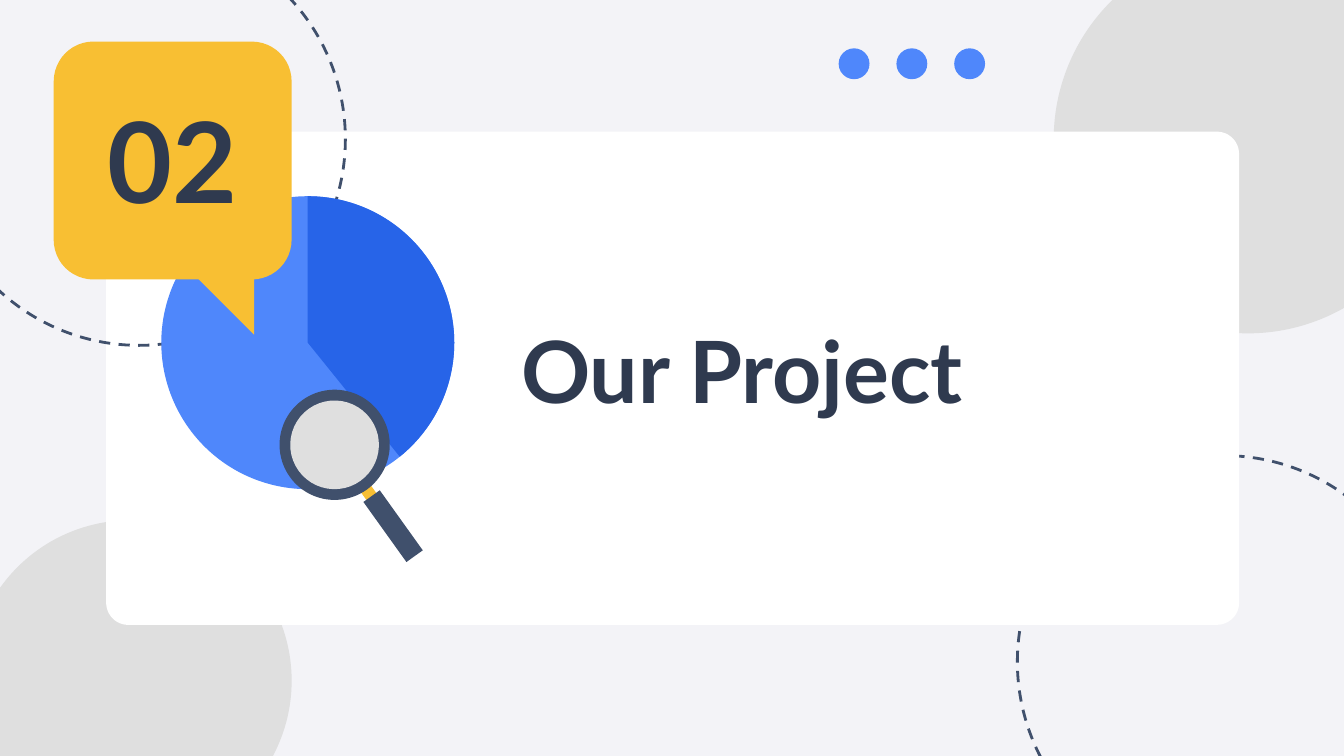
from pptx import Presentation
from pptx.dml.color import RGBColor
from pptx.enum import dml, shapes, text
from pptx.util import Inches, Pt

PALE = RGBColor(0xF3, 0xF3, 0xF7)
GREY = RGBColor(0xDF, 0xDF, 0xDF)
WHITE = RGBColor(0xFF, 0xFF, 0xFF)
SLATE = RGBColor(0x40, 0x50, 0x6C)
INK = RGBColor(0x2F, 0x3A, 0x4F)
BLUE = RGBColor(0x4F, 0x87, 0xFB)
DEEP_BLUE = RGBColor(0x27, 0x64, 0xE8)
YELLOW = RGBColor(0xF8, 0xBF, 0x33)

MSO = shapes.MSO_SHAPE
TILT = 324.4
DOT_LEFT, DOT_TOP, DOT_SIZE, DOT_STEP = 6.24, 0.36, 0.23, 0.43
PIE_BOX = (1.2, 1.46, 2.18, 2.18)

# Each part: preset, (left, top, width, height), format values
BACKDROP = [
    (MSO.OVAL, (7.84, -0.41, 2.89, 2.89), {"fill": GREY}),
    (MSO.OVAL, (-0.22, 3.87, 2.39, 2.39), {"fill": GREY}),
    (MSO.OVAL, (7.57, 3.39, 3.07, 3.07), {"dash": SLATE}),
    (MSO.ROUNDED_RECTANGLE, (0.79, 0.98, 8.43, 3.67), {"fill": WHITE, "adj": [0.045]}),
    (MSO.OVAL, (-0.5, -0.5, 3.07, 3.07), {"dash": SLATE}),
]
DOTS = [
    (MSO.OVAL, (DOT_LEFT + i * DOT_STEP, DOT_TOP, DOT_SIZE, DOT_SIZE), {"fill": BLUE})
    for i in range(3)
]
PIE = [
    (MSO.OVAL, PIE_BOX, {"fill": BLUE}),
    (MSO.PIE, PIE_BOX, {"fill": DEEP_BLUE, "adj": [161.95, 30.65]}),
]
MAGNIFIER = [
    (MSO.RECTANGLE, (2.69, 3.56, 0.09, 0.19), {"fill": YELLOW, "rotation": TILT}),
    (MSO.RECTANGLE, (2.85, 3.64, 0.15, 0.55), {"fill": SLATE, "rotation": TILT}),
    (MSO.OVAL, (2.08, 2.9, 0.82, 0.82), {"fill": SLATE, "rotation": TILT}),
    (MSO.OVAL, (2.16, 2.98, 0.66, 0.66), {"fill": GREY, "rotation": TILT}),
]
BUBBLE = [
    (MSO.ROUNDED_RECTANGLE, (0.4, 0.31, 1.77, 1.77), {"fill": YELLOW, "adj": [0.167]}),
    (MSO.RIGHT_TRIANGLE, (1.44, 2.04, 0.45, 0.45), {"fill": YELLOW, "rotation": 180}),
]
TITLE = ("Our Project", (3.78, 2.26, 5.14, 1.02), 46,
         text.MSO_ANCHOR.TOP, text.PP_ALIGN.LEFT)
NUMBER = ("02", (0.6, 0.68, 1.37, 1), 60,
          text.MSO_ANCHOR.MIDDLE, text.PP_ALIGN.CENTER)


def add_parts(tree, parts):
    """Draw preset shapes, filled or with a dashed outline."""
    for preset, box, style in parts:
        sp = tree.add_shape(preset, *map(Inches, box))
        sp.shadow.inherit = False
        sp.rotation = style.get("rotation", 0)
        for i, value in enumerate(style.get("adj", [])):
            sp.adjustments[i] = value
        if "fill" in style:
            sp.fill.solid()
            sp.fill.fore_color.rgb = style["fill"]
            sp.line.fill.background()
        else:
            sp.fill.background()
            sp.line.color.rgb = style["dash"]
            sp.line.width = Pt(1.5)
            sp.line.dash_style = dml.MSO_LINE.DASH


def add_heading(tree, words, box, size, anchor, align):
    """Add one line of bold heading text."""
    tf = tree.add_textbox(*map(Inches, box)).text_frame
    frame = {"word_wrap": True, "vertical_anchor": anchor}
    frame.update({f"margin_{side}": Inches(0.1)
                  for side in ("left", "top", "right", "bottom")})
    for name, value in frame.items():
        setattr(tf, name, value)
    p = tf.paragraphs[0]
    p.alignment = align
    r = p.add_run()
    r.text = words
    for name, value in {"name": "Lato", "size": Pt(size), "bold": True}.items():
        setattr(r.font, name, value)
    r.font.color.rgb = INK


prs = Presentation()
prs.slide_width = Inches(10)
prs.slide_height = prs.slide_width * 9 // 16
slide = prs.slides.add_slide(prs.slide_layouts[6])
slide.background.fill.solid()
slide.background.fill.fore_color.rgb = PALE

add_parts(slide.shapes, BACKDROP)
add_parts(slide.shapes.add_group_shape().shapes, DOTS)
add_heading(slide.shapes, *TITLE)
for group in (PIE, MAGNIFIER, BUBBLE):
    add_parts(slide.shapes.add_group_shape().shapes, group)
add_heading(slide.shapes, *NUMBER)

prs.save("out.pptx")
